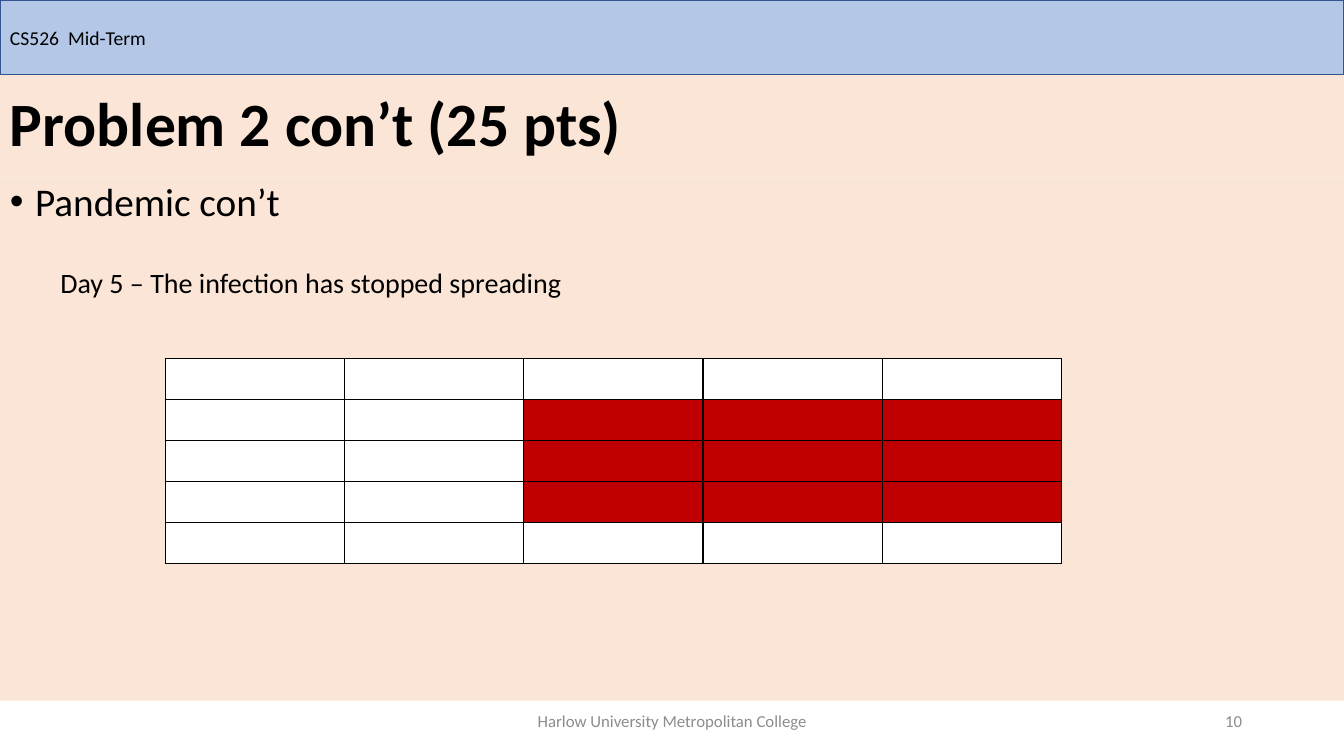
from dataclasses import dataclass

from lxml import etree
from pptx import Presentation
from pptx.dml.color import RGBColor
from pptx.enum.shapes import MSO_SHAPE
from pptx.enum.text import MSO_ANCHOR, PP_ALIGN
from pptx.oxml.ns import qn
from pptx.util import Emu, Inches, Pt

RECTANGLE = MSO_SHAPE.RECTANGLE
TOP, MIDDLE = MSO_ANCHOR.TOP, MSO_ANCHOR.MIDDLE
LEFT, CENTER, RIGHT = PP_ALIGN.LEFT, PP_ALIGN.CENTER, PP_ALIGN.RIGHT

GRID_UNIT = Inches(0.1)
SLIDE_COLUMNS, SLIDE_ROWS = 133.33, 75
BLANK_LAYOUT = 6


@dataclass(frozen=True)
class Theme:
    font: str = "Calibri"
    text: str = "000000"
    muted: str = "8C8C8C"
    peach: str = "FBE5D6"
    header: str = "B4C7E7"
    header_line: str = "325491"
    healthy: str = "FFFFFF"
    infected: str = "C00000"
    title_size: int = 44
    topic_size: int = 28
    detail_size: int = 20
    header_size: int = 14
    footer_size: int = 12
    line_width: int = 1


THEME = Theme()


@dataclass(frozen=True)
class Line:
    text: str
    size: int
    color: str = THEME.text
    bold: bool = False
    align: PP_ALIGN = LEFT
    line_spacing: float = 1.0
    space_before: int = 0
    margin: float = 0
    bullet: str = ""


@dataclass(frozen=True)
class Panel:
    """A text area placed in grid columns and rows."""
    left: float
    top: float
    width: float
    height: float
    lines: tuple[Line, ...]
    fill: str = ""
    outline: str = ""
    anchor: MSO_ANCHOR = MIDDLE


@dataclass(frozen=True)
class InfectionGrid:
    left: float
    top: float
    column_width: float
    row_height: float
    rows: tuple[str, ...]


TITLE_TOP, BODY_TOP, FOOTER_TOP, FOOTER_HEIGHT = 7.4, 17.6, 69.5, 4

PANELS = (
    Panel(0, TITLE_TOP, SLIDE_COLUMNS, BODY_TOP - TITLE_TOP,
          (Line("Problem 2 con’t (25 pts)", THEME.title_size, bold=True, line_spacing=0.9),),
          fill=THEME.peach),
    Panel(0, 0, SLIDE_COLUMNS, TITLE_TOP, (Line("CS526  Mid-Term", THEME.header_size),),
          fill=THEME.header, outline=THEME.header_line),
    Panel(44.2, FOOTER_TOP, 45, FOOTER_HEIGHT,
          (Line("Harlow University Metropolitan College", THEME.footer_size, THEME.muted,
                align=CENTER),)),
    Panel(94.2, FOOTER_TOP, 30, FOOTER_HEIGHT,
          (Line("10", THEME.footer_size, THEME.muted, align=RIGHT),)),
    Panel(0, BODY_TOP, SLIDE_COLUMNS, FOOTER_TOP - BODY_TOP,
          (Line("Pandemic con’t", THEME.topic_size, line_spacing=0.9, margin=2.5, bullet="•"),
           Line("Day 5 – The infection has stopped spreading", THEME.detail_size,
                line_spacing=0.9, space_before=32, margin=5)),
          fill=THEME.peach, anchor=TOP),
)

# "#" marks an infected cell
DAY_FIVE = InfectionGrid(16.4, 35.6, 17.78, 4.07,
                         (".....", "..###", "..###", "..###", "....."))


def grid(units: float) -> Emu:
    return Emu(round(units * GRID_UNIT))


def set_format(target: object, values: dict) -> None:
    for name, value in values.items():
        setattr(target, name, value)


def write_line(paragraph, line: Line) -> None:
    set_format(paragraph, {"alignment": line.align, "line_spacing": line.line_spacing,
                           "space_before": Pt(line.space_before)})
    run = paragraph.add_run()
    run.text = line.text
    set_format(run.font, {"name": THEME.font, "size": Pt(line.size), "bold": line.bold})
    run.font.color.rgb = RGBColor.from_string(line.color)
    properties = paragraph._p.get_or_add_pPr()
    properties.set("marL", str(grid(line.margin)))
    if line.bullet:
        properties.set("indent", str(-grid(line.margin)))
        etree.SubElement(properties, qn("a:buFont"), typeface="Arial")
        etree.SubElement(properties, qn("a:buChar"), char=line.bullet)


def draw_panel(slide, panel: Panel) -> None:
    place = [grid(units) for units in (panel.left, panel.top, panel.width, panel.height)]
    if panel.fill:
        shape = slide.shapes.add_shape(RECTANGLE, *place)
        shape.shadow.inherit = False
        shape.fill.solid()
        shape.fill.fore_color.rgb = RGBColor.from_string(panel.fill)
        if panel.outline:
            shape.line.color.rgb = RGBColor.from_string(panel.outline)
            shape.line.width = Pt(THEME.line_width)
        else:
            shape.line.fill.background()
    else:
        shape = slide.shapes.add_textbox(*place)
    frame = shape.text_frame
    set_format(frame, {"word_wrap": True, "vertical_anchor": panel.anchor})
    for index, line in enumerate(panel.lines):
        write_line(frame.add_paragraph() if index else frame.paragraphs[0], line)


def add_borders(cell) -> None:
    properties = cell._tc.get_or_add_tcPr()
    for side in ("lnL", "lnR", "lnT", "lnB"):
        border = etree.SubElement(properties, qn(f"a:{side}"), w=str(Pt(THEME.line_width)))
        fill = etree.SubElement(border, qn("a:solidFill"))
        etree.SubElement(fill, qn("a:srgbClr"), val=THEME.text)


def draw_infection_grid(slide, infection: InfectionGrid) -> None:
    row_count, column_count = len(infection.rows), len(infection.rows[0])
    table = slide.shapes.add_table(
        row_count, column_count, grid(infection.left), grid(infection.top),
        grid(infection.column_width * column_count),
        grid(infection.row_height * row_count)).table
    set_format(table, {"first_row": False, "horz_banding": False})
    for row_index, marks in enumerate(infection.rows):
        for column_index, mark in enumerate(marks):
            cell = table.cell(row_index, column_index)
            add_borders(cell)
            cell.fill.solid()
            color = THEME.infected if mark == "#" else THEME.healthy
            cell.fill.fore_color.rgb = RGBColor.from_string(color)


def main() -> None:
    presentation = Presentation()
    set_format(presentation, {"slide_width": grid(SLIDE_COLUMNS),
                              "slide_height": grid(SLIDE_ROWS)})
    slide = presentation.slides.add_slide(presentation.slide_layouts[BLANK_LAYOUT])
    for panel in PANELS:
        draw_panel(slide, panel)
    draw_infection_grid(slide, DAY_FIVE)
    presentation.save("out.pptx")


if __name__ == "__main__":
    main()
